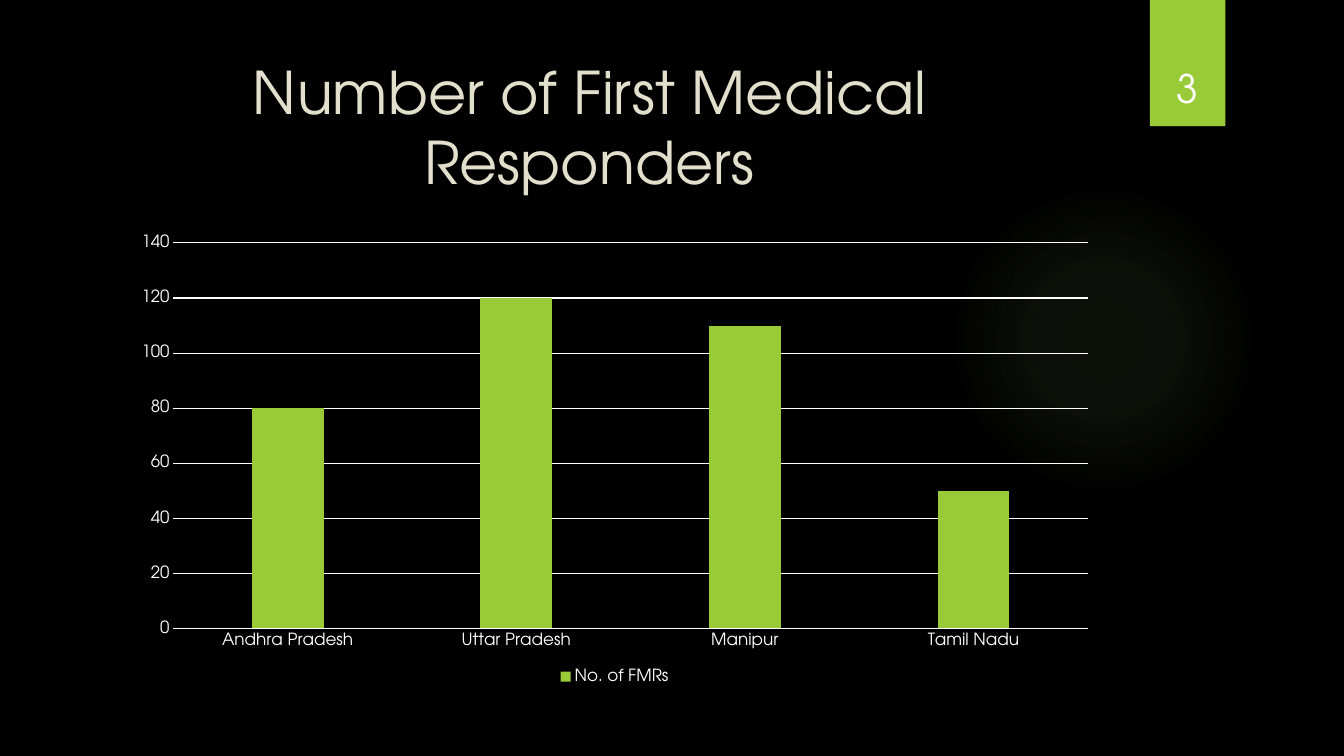
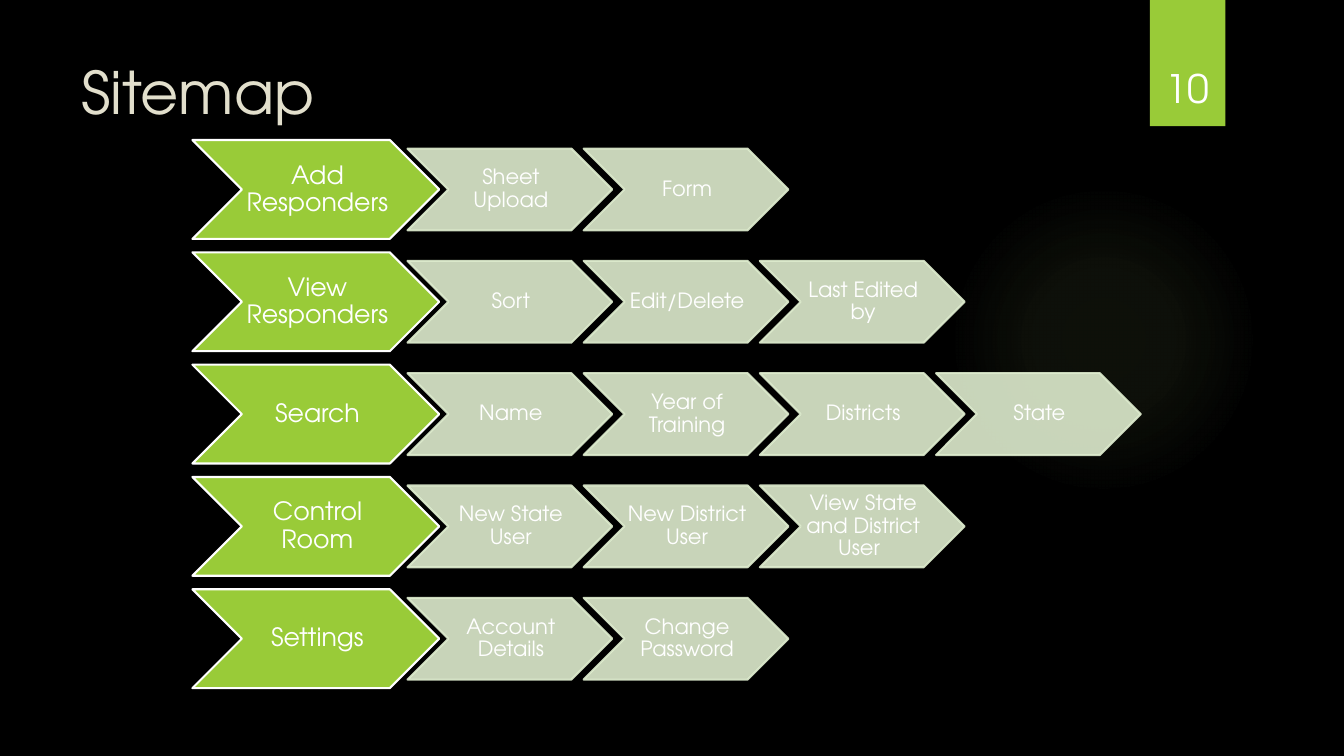
from lxml import etree
from pptx import Presentation
from pptx.chart.data import CategoryChartData
from pptx.dml.color import RGBColor
from pptx.enum.chart import XL_CHART_TYPE as CHART, XL_LEGEND_POSITION as LEGEND, XL_TICK_MARK as TICK
from pptx.enum.shapes import MSO_SHAPE as SHAPE
from pptx.enum.text import MSO_ANCHOR as ANCHOR, PP_ALIGN as ALIGN
from pptx.oxml import parse_xml
from pptx.oxml.ns import nsdecls, qn
from pptx.util import Cm, Pt

FONT = "TeX Gyre Adventor"
HEX = {
    "background": "000000",
    "green": "99CB38",
    "glow": "C2E088",
    "pale": "DEECCE",
    "title": "E2DFCC",
    "white": "FFFFFF",
}
RGB = {name: RGBColor.from_string(value) for name, value in HEX.items()}
GLOW_STOPS = [(0, 7), (36, 6), (69, 0)]


def style_font(font, size, color="white"):
    font.name = FONT
    font.size = Pt(size)
    font.color.rgb = RGB[color]


def write(sp, text, size, align, anchor, color="white"):
    tf = sp.text_frame
    tf.word_wrap = True
    tf.vertical_anchor = anchor
    tf.text = text
    p = tf.paragraphs[0]
    p.alignment = align
    style_font(p.runs[0].font, size, color)
    return tf


prs = Presentation()
prs.slide_width, prs.slide_height = Cm(33.87), Cm(19.05)

slides = []
for title, number, align in [
    ("Number of First Medical Responders", "3", ALIGN.CENTER),
    ("Sitemap", "10", ALIGN.LEFT),
]:
    s = prs.slides.add_slide(prs.slide_layouts[6])
    slides.append(s)
    s.background.fill.solid()
    s.background.fill.fore_color.rgb = RGB["background"]

    glow = s.shapes.add_shape(SHAPE.OVAL, Cm(23.9), Cm(4.65), Cm(7.82), Cm(7.82))
    glow.shadow.inherit = False
    glow.line.fill.background()
    stops = "".join(
        f'<a:gs pos="{pos * 1000}"><a:srgbClr val="{HEX["glow"]}">'
        f'<a:alpha val="{alpha * 1000}"/></a:srgbClr></a:gs>'
        for pos, alpha in GLOW_STOPS
    )
    gradient = parse_xml(
        f'<a:gradFill {nsdecls("a")} rotWithShape="1"><a:gsLst>{stops}</a:gsLst>'
        '<a:path path="circle"><a:fillToRect l="50000" t="50000" r="50000" b="50000"/>'
        "</a:path></a:gradFill>"
    )
    glow._element.spPr.find(qn("a:prstGeom")).addnext(gradient)

    band = s.shapes.add_shape(SHAPE.RECTANGLE, Cm(28.98), 0, Cm(1.9), Cm(3.18))
    band.shadow.inherit = False
    band.fill.solid()
    band.fill.fore_color.rgb = RGB["green"]
    band.line.fill.background()

    sp = s.shapes.add_textbox(Cm(1.8), Cm(1.27), Cm(26.11), Cm(3.89))
    write(sp, title, 42, align, ANCHOR.TOP, "title")
    sp = s.shapes.add_textbox(Cm(28.75), Cm(0.81), Cm(2.34), Cm(2.13))
    write(sp, number, 28, ALIGN.CENTER, ANCHOR.BOTTOM)

responders, sitemap = slides

data = CategoryChartData()
data.categories = ["Andhra Pradesh", "Uttar Pradesh", "Manipur", "Tamil Nadu"]
data.add_series("No. of FMRs", [80, 120, 110, 50])
chart = responders.shapes.add_chart(
    CHART.COLUMN_CLUSTERED, Cm(3.07), Cm(5.69), Cm(24.84), Cm(11.66), data
).chart
style_font(chart.font, 10)
chart.has_title = False
chart.has_legend = True
chart.legend.position = LEGEND.BOTTOM
chart.legend.include_in_layout = False
style_font(chart.legend.font, 12)

plot = chart.plots[0]
plot.gap_width = 219
plot.overlap = -27
plot.vary_by_categories = False
bars = plot.series[0].format.fill
bars.solid()
bars.fore_color.rgb = RGB["green"]

for axis in (chart.category_axis, chart.value_axis):
    axis.major_tick_mark = axis.minor_tick_mark = TICK.NONE
    style_font(axis.tick_labels.font, 12)
chart.value_axis.minimum_scale = 0
chart.value_axis.maximum_scale = 140
chart.value_axis.major_unit = 20
chart.value_axis.format.line.fill.background()
for line in (chart.category_axis.format.line, chart.value_axis.major_gridlines.format.line):
    line.color.rgb = RGB["white"]
    line.width = Pt(0.75)

ROWS = [
    ["Add Responders", "Sheet Upload", "Form"],
    ["View Responders", "Sort", "Edit/Delete", "Last Edited by"],
    ["Search", "Name", "Year of Training", "Districts", "State"],
    ["Control Room", "New State User", "New District User", "View State and District User\t"],
    ["Settings", "Account Details", "Change Password"],
]
LEFT, TOP, ROW_PITCH = 4.85, 3.53, 2.83
HEAD_W, HEAD_H = 6.22, 2.49
STEP_LEFT, STEP_PITCH, STEP_W, STEP_H = 10.27, 4.44, 5.16, 2.06

for row, labels in enumerate(ROWS):
    for col, label in enumerate(labels):
        top = TOP + row * ROW_PITCH
        if col == 0:
            left, width, height = LEFT, HEAD_W, HEAD_H
            fill, outline, size, inset = "green", "white", 18, 0.08
        else:
            left, width, height = STEP_LEFT + (col - 1) * STEP_PITCH, STEP_W, STEP_H
            top += (HEAD_H - STEP_H) / 2
            fill, outline, size, inset = "pale", "pale", 15, 0.05
        sp = sitemap.shapes.add_shape(SHAPE.CHEVRON, Cm(left), Cm(top), Cm(width), Cm(height))
        sp.shadow.inherit = False
        sp.fill.solid()
        sp.fill.fore_color.rgb = RGB[fill]
        sp.line.color.rgb = RGB[outline]
        sp.line.width = Pt(1.5)
        if col > 0:
            for color in sp._element.spPr.iter(qn("a:srgbClr")):
                etree.SubElement(color, qn("a:alpha")).set("val", "90000")
        tf = write(sp, label, size, ALIGN.CENTER, ANCHOR.MIDDLE)
        tf.margin_left, tf.margin_right = Cm(inset), 0
        tf.margin_top = tf.margin_bottom = Cm(0.03)
        tf.paragraphs[0].line_spacing = 0.9

prs.save("out.pptx")
